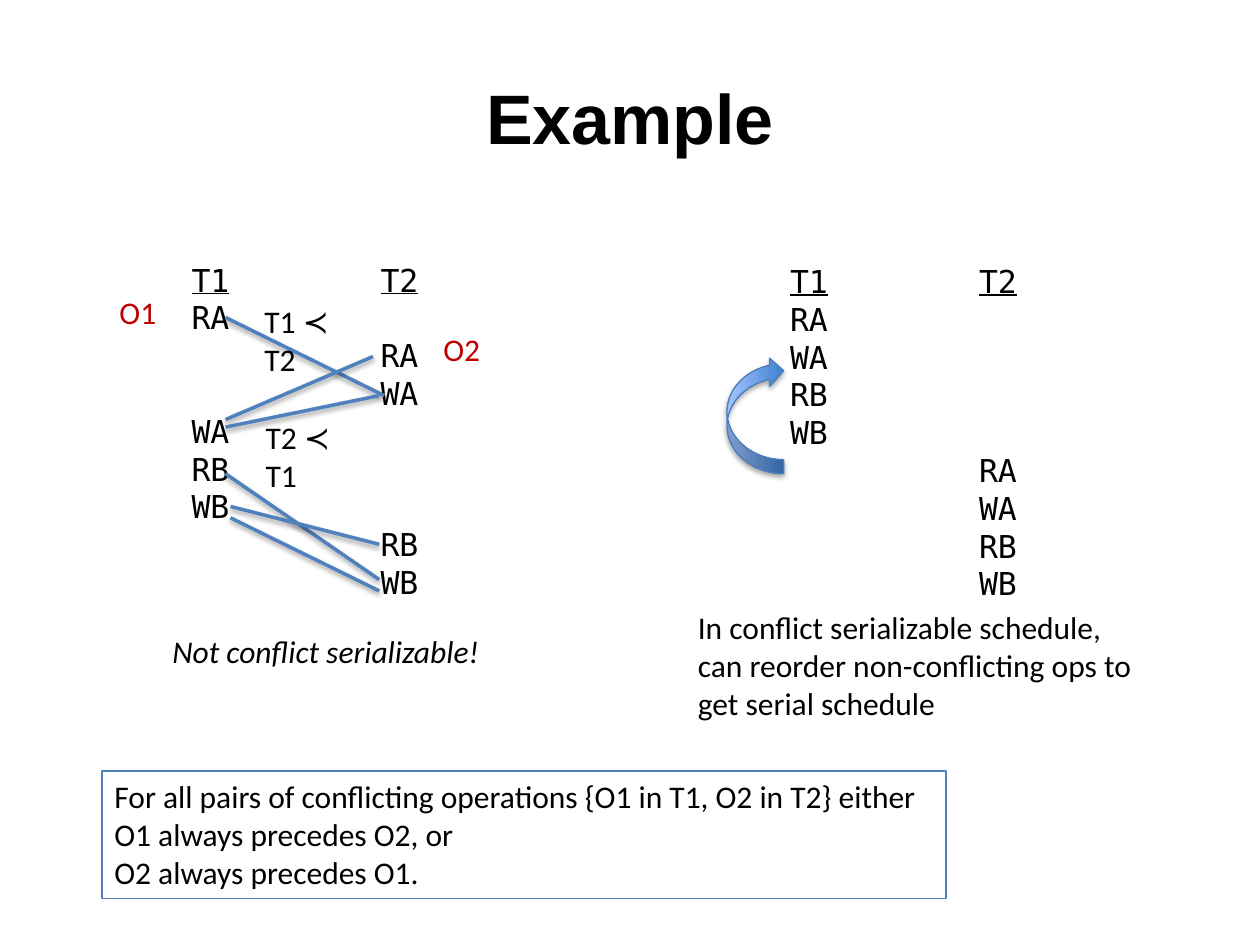
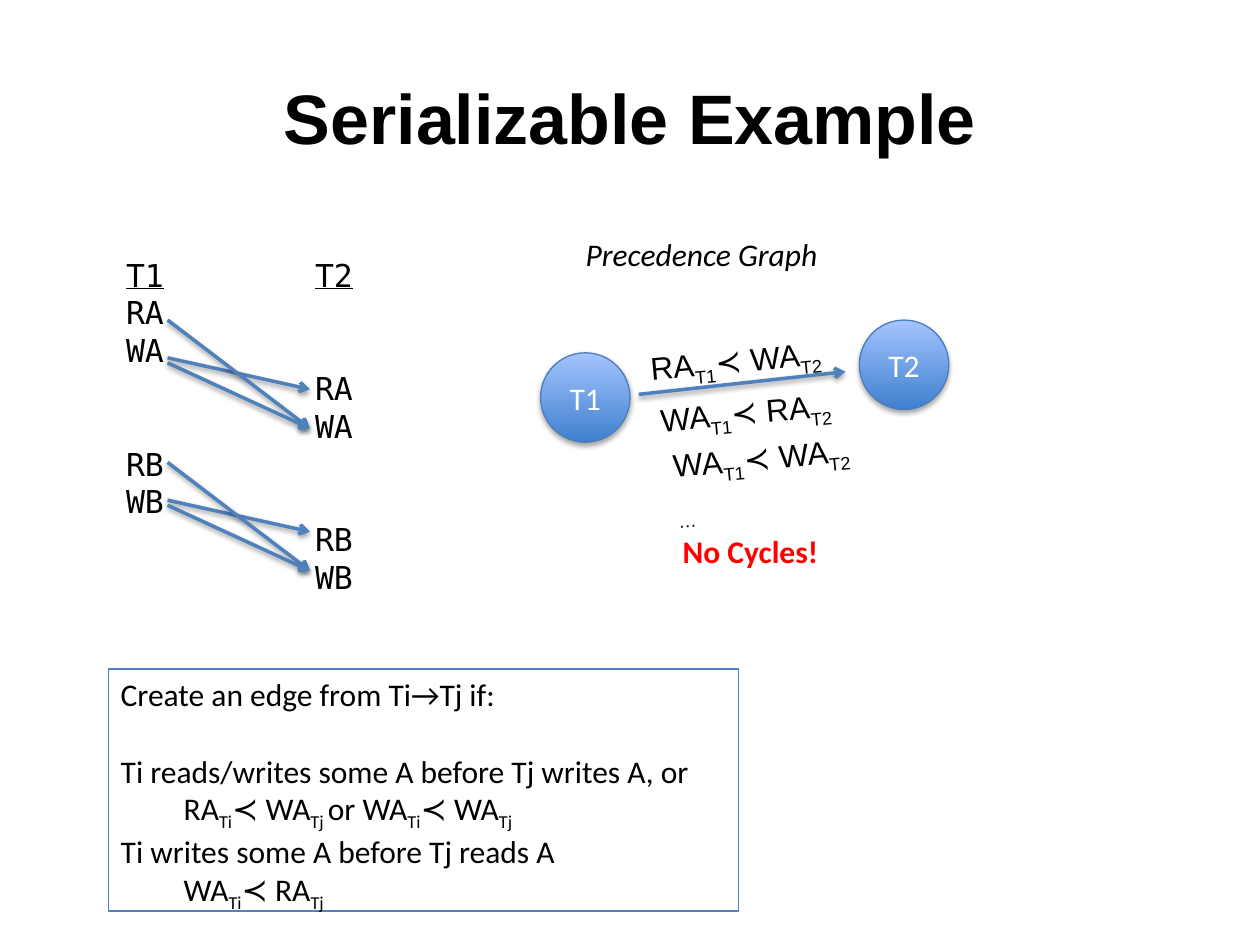
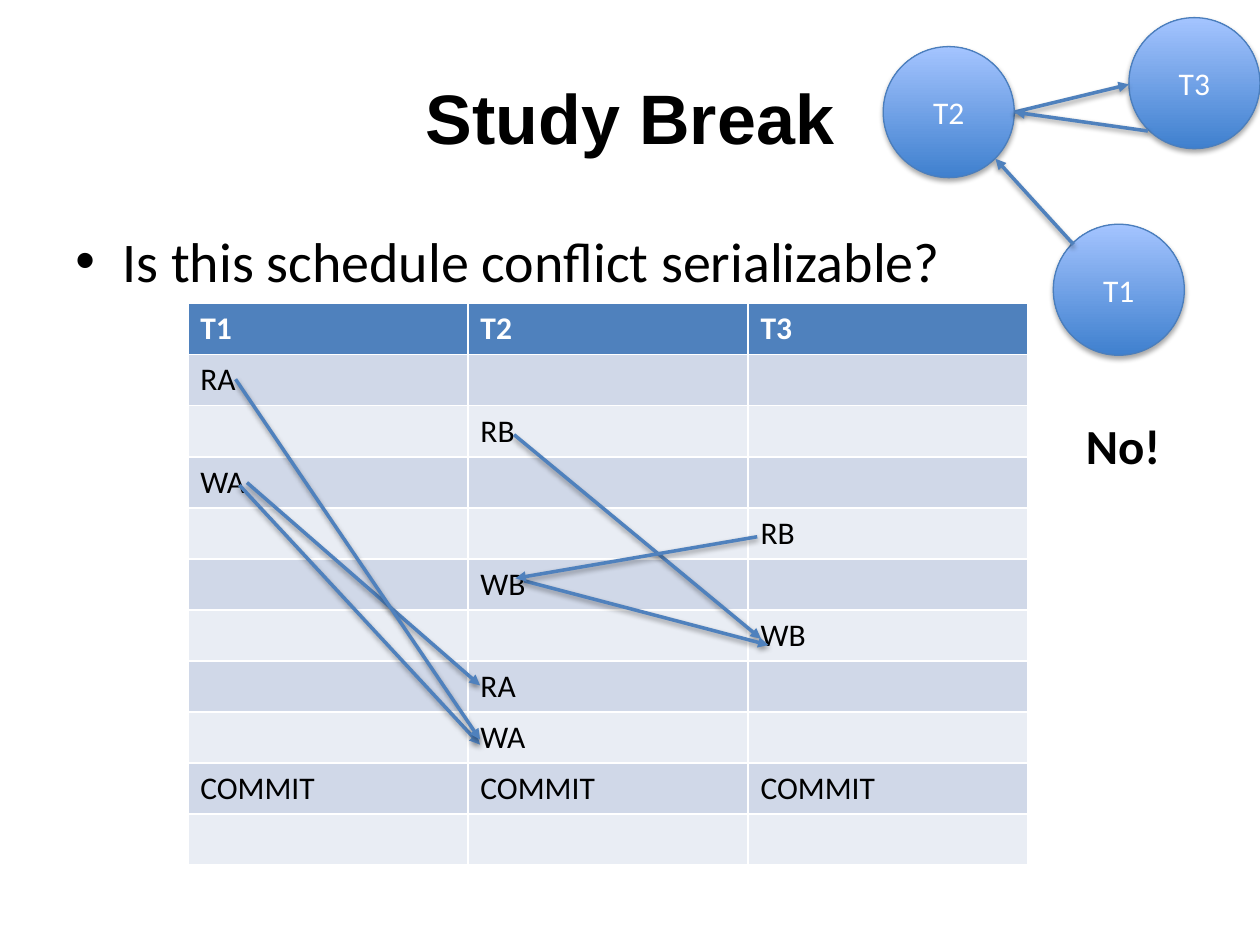
from dataclasses import dataclass
from typing import Optional, Sequence, Union

from lxml import etree
from pptx import Presentation
from pptx import util as u
from pptx.dml.color import RGBColor
from pptx.enum import shapes, text
from pptx.oxml.ns import qn

BLACK = RGBColor(0x00, 0x00, 0x00)
WHITE = RGBColor(0xFF, 0xFF, 0xFF)
BLUE = RGBColor(0x4F, 0x81, 0xBD)
NODE_LINE = RGBColor(0x4B, 0x7E, 0xBC)
NODE_DARK = RGBColor(0x3F, 0x80, 0xCE)
NODE_LIGHT = RGBColor(0xA4, 0xC4, 0xFF)
DARK_RED = RGBColor(0xC0, 0x00, 0x00)
RED = RGBColor(0xFF, 0x00, 0x00)
BANDS = (RGBColor(0xE9, 0xED, 0xF4), RGBColor(0xD0, 0xD8, 0xE8))

BODY_FONT, TITLE_FONT, CODE_FONT = "Calibri", "Arial", "DejaVu Sans Mono"

# The slide is a grid of square cells.
COLUMNS, ROWS = 100, 75
CELL = u.Inches(0.1)
TAB = 5
TILT = -5.3


def g(cells: float) -> u.Emu:
    """Length of a number of grid cells."""
    return u.Emu(round(cells * CELL))


@dataclass(frozen=True)
class Box:
    x: float
    y: float
    w: float
    h: float

    def emu(self) -> list[u.Emu]:
        return [g(v) for v in (self.x, self.y, self.w, self.h)]


@dataclass(frozen=True)
class Edge:
    x1: float
    y1: float
    x2: float
    y2: float


@dataclass(frozen=True)
class Node:
    label: str
    x: float
    y: float


@dataclass(frozen=True)
class Para:
    text: str
    indent: float = 0
    before: float = 0


@dataclass(frozen=True)
class Label:
    text: str
    box: Box
    size: float = 18
    color: RGBColor = BLACK
    bold: bool = False
    italic: bool = False


def write(tf, paras: Sequence[Union[str, Para]], *, size: float = 18,
          font: str = BODY_FONT, color: RGBColor = BLACK, bold: bool = False,
          italic: bool = False, align=text.PP_ALIGN.LEFT,
          marked: str = "subscript") -> None:
    """Fill a frame; parts between bars are set as subscript or underlined."""
    tf.word_wrap = True
    for i, para in enumerate(paras):
        if isinstance(para, str):
            para = Para(para)
        p = tf.add_paragraph() if i else tf.paragraphs[0]
        p.alignment = align
        if para.before:
            p.space_before = u.Pt(para.before)
        if para.indent:
            p._p.get_or_add_pPr().set("marL", str(g(para.indent)))
        for j, part in enumerate(para.text.split("|")):
            if not part:
                continue
            r = p.add_run()
            r.text = part
            f = r.font
            f.name, f.size, f.bold, f.italic = font, u.Pt(size), bold, italic
            f.color.rgb = color
            if j % 2 and marked == "underline":
                f.underline = True
            elif j % 2:
                r._r.get_or_add_rPr().set("baseline", "-25000")


def add_text(s, box: Box, *paras: Union[str, Para], fill: Optional[RGBColor] = None,
             line: Optional[RGBColor] = None, rotation: float = 0,
             anchor=text.MSO_ANCHOR.TOP, **fmt):
    sp = s.shapes.add_textbox(*box.emu())
    sp.rotation = rotation
    sp.text_frame.vertical_anchor = anchor
    if fill is not None:
        sp.fill.solid()
        sp.fill.fore_color.rgb = fill
    if line is not None:
        sp.line.color.rgb = line
        sp.line.width = u.Pt(0.75)
    write(sp.text_frame, paras, **fmt)
    return sp


def add_labels(s, labels: Sequence[Label]) -> None:
    for lb in labels:
        add_text(s, lb.box, lb.text, size=lb.size, color=lb.color,
                 bold=lb.bold, italic=lb.italic)


def cast_shadow(sp, alpha: int, distance: float) -> None:
    spPr = sp._element.spPr
    effects = spPr.find(qn("a:effectLst"))
    if effects is None:
        effects = etree.SubElement(spPr, qn("a:effectLst"))
    shadow = etree.SubElement(effects, qn("a:outerShdw"), blurRad=str(u.Pt(3.1)),
                              dist=str(u.Pt(distance)), dir="5400000", rotWithShape="0")
    color = etree.SubElement(shadow, qn("a:srgbClr"), val=str(BLACK))
    etree.SubElement(color, qn("a:alpha"), val=str(alpha * 1000))


def add_edges(s, edges: Sequence[Edge], tip: Optional[str] = None) -> None:
    for e in edges:
        c = s.shapes.add_connector(shapes.MSO_CONNECTOR.STRAIGHT,
                                   g(e.x1), g(e.y1), g(e.x2), g(e.y2))
        c.line.color.rgb = BLUE
        c.line.width = u.Pt(2)
        if tip:
            etree.SubElement(c.line._get_or_add_ln(), qn("a:tailEnd"), type=tip)
        cast_shadow(c, 38, 1.6)


def add_glossy(s, kind, box: Box):
    """Shape with the blue vertical gradient, light at the top."""
    sp = s.shapes.add_shape(kind, *box.emu())
    sp.fill.gradient()
    sp.fill.gradient_angle = 90
    for stop, color in zip(sp.fill.gradient_stops, (NODE_DARK, NODE_LIGHT)):
        stop.color.rgb = color
    sp.line.color.rgb = NODE_LINE
    sp.line.width = u.Pt(0.75)
    sp.shadow.inherit = False
    cast_shadow(sp, 35, 1.8)
    return sp


def add_nodes(s, nodes: Sequence[Node], diameter: float) -> None:
    for n in nodes:
        sp = add_glossy(s, shapes.MSO_SHAPE.OVAL, Box(n.x, n.y, diameter, diameter))
        sp.text_frame.vertical_anchor = text.MSO_ANCHOR.MIDDLE
        write(sp.text_frame, [n.label], color=WHITE, align=text.PP_ALIGN.CENTER)


def add_schedule(s, x: float, y: float, steps: str) -> None:
    """Two-column schedule; each step is transaction number and operation."""
    lines = ["|T1|\t\t\t|T2|"]
    lines += [("\t\t\t" if step[0] == "2" else "") + step[1:] for step in steps.split()]
    sp = add_text(s, Box(x, y, 27.5, 37.4), *lines, fill=WHITE,
                  font=CODE_FONT, marked="underline")
    sp.text_frame.margin_left = g(1 + TAB)
    for p in sp.text_frame.paragraphs:
        stops = etree.SubElement(p._p.get_or_add_pPr(), qn("a:tabLst"))
        for n in (1, 2, 3):
            etree.SubElement(stops, qn("a:tab"), pos=str(g(n * TAB)), algn="l")


def new_slide(prs, title: str):
    s = prs.slides.add_slide(prs.slide_layouts[6])
    add_text(s, Box(5, 3, 90, 12.5), title, size=40, font=TITLE_FONT, bold=True,
             align=text.PP_ALIGN.CENTER, anchor=text.MSO_ANCHOR.MIDDLE)
    return s


def example_slide(prs) -> None:
    s = new_slide(prs, "Example")
    add_schedule(s, 9.2, 20.2, "1RA 2RA 2WA 1WA 1RB 1WB 2RB 2WB")
    add_edges(s, [
        Edge(17.9, 25.2, 30.5, 31.4), Edge(29.6, 28.3, 17.9, 33.3),
        Edge(30.1, 31.4, 17.9, 33.9), Edge(17.9, 37.6, 30.1, 46),
        Edge(30.1, 43.2, 18.3, 40.2), Edge(30.1, 46.9, 18.3, 41.1),
    ])
    add_text(s, Box(8.1, 61.2, 67, 10.1),
             "For all pairs of conflicting operations {O1 in T1, O2 in T2} either",
             "O1 always precedes O2, or", "O2 always precedes O1.", line=BLUE)
    add_schedule(s, 56.7, 20.3, "1RA 1WA 1RB 1WB 2RA 2WA 2RB 2WB")
    arrow = add_glossy(s, shapes.MSO_SHAPE.CURVED_DOWN_ARROW, Box(55.3, 30.7, 9.3, 4.5))
    arrow.rotation = 270
    add_text(s, Box(54.4, 47.8, 37.5, 10.1),
             "In conflict serializable schedule, can reorder non-conflicting ops "
             "to get serial schedule", fill=WHITE)
    add_labels(s, [
        Label("T1 ≺ T2", Box(20, 23.5, 10, 4)),
        Label("T2 ≺ T1", Box(20.1, 32.7, 10, 4)),
        Label("Not conflict serializable!", Box(12.7, 49.7, 26.7, 4), italic=True),
        Label("O1", Box(8.5, 22.8, 6.3, 4), color=DARK_RED),
        Label("O2", Box(34.2, 25.7, 6.3, 4), color=DARK_RED),
    ])


def serializable_slide(prs) -> None:
    s = new_slide(prs, "Serializable Example")
    add_schedule(s, 4, 19.8, "1RA 1WA 2RA 2WA 1RB 1WB 2RB 2WB")
    add_nodes(s, [Node("T1", 42.9, 28), Node("T2", 68.2, 25.4)], 7.1)
    add_edges(s, [Edge(50.7, 31.3, 67.1, 29.5)], "arrow")
    conflicts = ((28.4, 30.9), (25.4, 34), (28.8, 34))
    add_edges(s, [Edge(13.3, start + drop, 24.6, end + drop)
                  for drop in (0, 11.3) for start, end in conflicts], "arrow")
    add_text(s, Box(8.6, 53.1, 50, 19.2),
             "Create an edge from Ti→Tj if:",
             Para("Ti reads/writes some A before Tj writes A, or", before=22),
             Para("RA|Ti|≺ WA|Tj |or WA|Ti|≺ WA|Tj|", indent=TAB),
             "Ti writes some A before Tj reads A",
             Para("WA|Ti|≺ RA|Tj|", indent=TAB), line=BLUE)
    add_labels(s, [
        Label("Precedence Graph", Box(45.5, 18.2, 21.3, 4), italic=True),
        Label("No Cycles!", Box(53.2, 41.7, 13.6, 4), color=RED, bold=True),
    ])
    reasons = [
        (Box(50.6, 26.5, 17.8, 4), ["RA|T1|≺ WA|T2|"]),
        (Box(51.4, 30.6, 17.8, 4), ["WA|T1|≺ RA|T2|"]),
        (Box(52.5, 34.2, 17.8, 6.1), ["WA|T1|≺ WA|T2|", "|…|"]),
    ]
    for box, lines in reasons:
        add_text(s, box, *lines, font=TITLE_FONT, rotation=TILT)


def add_schedule_table(s, box: Box, rows: Sequence[Sequence[str]]) -> None:
    table = s.shapes.add_table(len(rows), len(rows[0]), *box.emu()).table
    for i, row in enumerate(rows):
        table.rows[i].height = g(box.h / len(rows))
        for j, value in enumerate(row):
            cell = table.cell(i, j)
            cell.fill.solid()
            cell.fill.fore_color.rgb = BANDS[i % 2] if i else BLUE
            write(cell.text_frame, [value], bold=i == 0, color=BLACK if i else WHITE)


def study_slide(prs) -> None:
    s = new_slide(prs, "Study Break")
    question = add_text(s, Box(5, 17.5, 90, 49.5),
                        "Is this schedule conflict serializable?", size=32)
    pPr = question.text_frame.paragraphs[0]._p.get_or_add_pPr()
    pPr.set("marL", str(g(3.75)))
    pPr.set("indent", str(-g(3.75)))
    etree.SubElement(pPr, qn("a:buFont"), typeface=TITLE_FONT)
    etree.SubElement(pPr, qn("a:buChar"), char="•")

    add_schedule_table(s, Box(14.9, 24.1, 66.7, 44.6), [
        ("T1", "T2", "T3"),
        ("RA", "", ""),
        ("", "RB", ""),
        ("WA", "", ""),
        ("", "", "RB"),
        ("", "WB", ""),
        ("", "", "WB"),
        ("", "RA", ""),
        ("", "WA", ""),
        ("COMMIT",) * 3,
        ("",) * 3,
    ])
    add_edges(s, [
        Edge(19.6, 38.3, 38.1, 54.4), Edge(19, 38.5, 38.1, 59.1),
        Edge(18.7, 30.1, 38.1, 58.7), Edge(40.8, 34.5, 60.4, 50.7),
        Edge(41.6, 46.1, 61, 51.2), Edge(60.1, 42.6, 40.9, 45.9),
    ], "triangle")
    add_nodes(s, [Node("T1", 83.6, 17.8), Node("T2", 70.1, 3.7),
                  Node("T3", 89.6, 1.4)], 10.4)
    add_edges(s, [
        Edge(85.2, 19.4, 79, 12.6), Edge(80.5, 8.9, 89.6, 6.7),
        Edge(91.1, 10.4, 80.5, 8.9),
    ], "triangle")
    add_labels(s, [Label("No!", Box(85.2, 32.5, 11.2, 5.7), size=28, bold=True)])


def main() -> None:
    prs = Presentation()
    prs.slide_width, prs.slide_height = g(COLUMNS), g(ROWS)
    example_slide(prs)
    serializable_slide(prs)
    study_slide(prs)
    prs.save("out.pptx")


if __name__ == "__main__":
    main()
